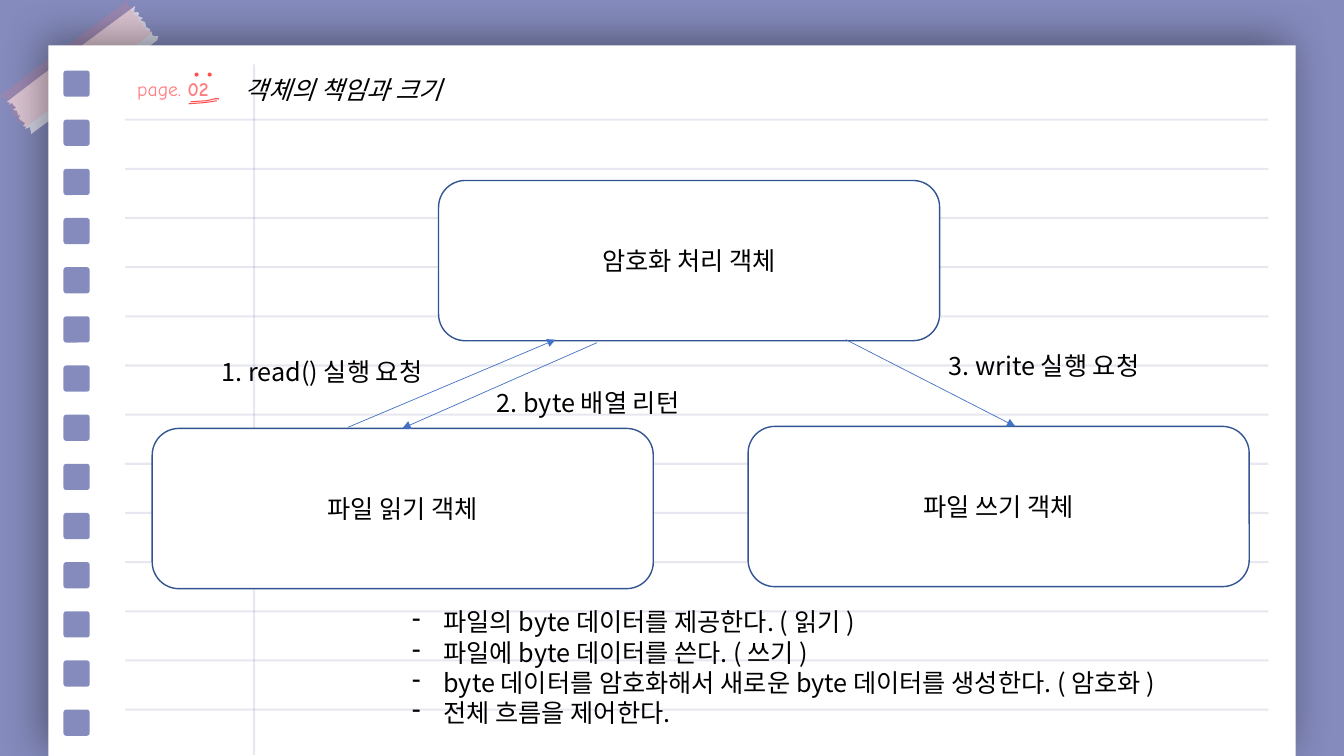
import dataclasses

import lxml.etree
import pptx
import pptx.dml.color
import pptx.enum.shapes
import pptx.enum.text
import pptx.oxml.ns
import pptx.util

Inches = pptx.util.Inches
Pt = pptx.util.Pt
KIND = pptx.enum.shapes.MSO_SHAPE
ALIGN = pptx.enum.text.PP_ALIGN
ANCHOR = pptx.enum.text.MSO_ANCHOR


@dataclasses.dataclass(frozen=True)
class Theme:
    lilac: str = "858BBD"
    white: str = "FFFFFF"
    pink: str = "FF7C80"
    red: str = "FF5050"
    navy: str = "325491"
    blue: str = "4472C4"
    ink: str = "000000"
    body: str = "Noto Sans CJK KR"
    hand: str = "Comic Neue"
    size: int = 18
    small: int = 14


THEME = Theme()
FIRST, LAST, COUNT = 0.7, 7.04, 14
PITCH = (LAST - FIRST) / (COUNT - 1)

TAPE = [
    (0.37, 0.78), (1.34, 0.06), (1.33, 0.12), (1.36, 0.12), (1.38, 0.13),
    (1.37, 0.16), (1.42, 0.18), (1.39, 0.2), (1.44, 0.22), (1.45, 0.27),
    (1.49, 0.29), (1.49, 0.33), (1.5, 0.31), (1.51, 0.33), (1.51, 0.35),
    (1.54, 0.36), (1.57, 0.36), (1.56, 0.4), (0.31, 1.33), (0.3, 1.28),
    (0.3, 1.26), (0.25, 1.28), (0.26, 1.26), (0.23, 1.25), (0.25, 1.22),
    (0.23, 1.21), (0.19, 1.18), (0.2, 1.13), (0.18, 1.15), (0.17, 1.1),
    (0.13, 1.09), (0.16, 1.07), (0.13, 1.04), (0.12, 1.02), (0.09, 1.04),
    (0.1, 1.02), (0.07, 1.01),
]
STROKES = [
    [(1.87, 1.03), (2.01, 1.02), (2.09, 1.01), (2.15, 1)],
    [(1.89, 1.01), (2.05, 1), (2.13, 0.98), (2.17, 0.98)],
]
BOXES = [
    (4.35, 1.79, "암호화 처리 객체"),
    (7.42, 4.23, "파일 쓰기 객체"),
    (1.51, 4.25, "파일 읽기 객체"),
]
ARROWS = [
    (3.45, 4.24, 5.51, 3.37),
    (5.92, 3.4, 3.99, 4.25),
    (8.39, 3.37, 10.07, 4.23),
]
LABELS = [
    (2.1, 3.49, "1. read() 실행 요청"),
    (4.83, 3.79, "2. byte 배열 리턴"),
    (9.31, 3.43, "3. write 실행 요청"),
]
DUTIES = [
    "파일의 byte 데이터를 제공한다. ( 읽기 )",
    "파일에 byte 데이터를 쓴다. ( 쓰기 )",
    "byte 데이터를 암호화해서 새로운 byte 데이터를 생성한다. ( 암호화 )",
    "전체 흐름을 제어한다.",
]


def paint(fill, color, alpha=100):
    fill.solid()
    fill.fore_color.rgb = pptx.dml.color.RGBColor.from_string(color)
    if alpha < 100:
        tone = fill.fore_color._xFill[0]
        add_tag(tone, "a:alpha", val=alpha * 1000)


def add_tag(node, name, **attrs):
    tag = lxml.etree.SubElement(node, pptx.oxml.ns.qn(name))
    for key, value in attrs.items():
        tag.set(key, str(value))
    return tag


def style(run, font=THEME.body, size=THEME.size, color=THEME.ink):
    run.font.name = font
    run.font.size = Pt(size)
    paint(run.font.fill, color)
    add_tag(run.font._element, "a:ea", typeface=font)


def add_shape(slide, kind, rect, color, edge=None):
    shape = slide.shapes.add_shape(kind, *map(Inches, rect))
    finish(shape, color, edge)
    return shape


def finish(shape, color=None, edge=None, width=1, alpha=100):
    shape.shadow.inherit = False
    if color:
        paint(shape.fill, color, alpha)
    else:
        shape.fill.background()
    if edge:
        paint(shape.line.fill, edge)
        shape.line.width = Pt(width)
    else:
        shape.line.fill.background()


def add_path(slide, points, close):
    spots = [(Inches(x), Inches(y)) for x, y in points]
    draft = slide.shapes.build_freeform(*spots[0])
    draft.add_line_segments(spots[1:], close=close)
    return draft.convert_to_shape()


def add_line(slide, ends, color, width, alpha=100, arrow=False):
    kind = pptx.enum.shapes.MSO_CONNECTOR.STRAIGHT
    line = slide.shapes.add_connector(kind, *map(Inches, ends))
    paint(line.line.fill, color, alpha)
    line.line.width = Pt(width)
    if arrow:
        add_tag(line.line._get_or_add_ln(), "a:tailEnd", type="triangle")
    add_tag(line._element.spPr, "a:effectLst")


def add_text(slide, rect, lines):
    box = slide.shapes.add_textbox(*map(Inches, rect))
    frame = box.text_frame
    frame.word_wrap = True
    frame.text = "\n".join(lines)
    for para in frame.paragraphs:
        style(para.runs[0])
    return frame


def add_tape(slide):
    for shift, color, alpha in ((0, THEME.white, 65), (0.07, THEME.pink, 19)):
        points = [(x - shift, y - shift * 0.8) for x, y in TAPE]
        finish(add_path(slide, points, True), color, alpha=alpha)


def add_paper(slide):
    sheet = add_shape(slide, KIND.RECTANGLE, (0.48, 0.45, 12.37, 7.05), THEME.white)
    glow = sheet._element.spPr.find(pptx.oxml.ns.qn("a:effectLst"))
    shade = add_tag(glow, "a:outerShdw", blurRad=Pt(31), dist=Pt(5),
                    dir=225 * 60000, algn="br", rotWithShape=0)
    tone = add_tag(shade, "a:srgbClr", val=THEME.ink)
    add_tag(tone, "a:alpha", val=40000)
    for row in range(COUNT):
        top = FIRST + row * PITCH
        hole = add_shape(slide, KIND.ROUNDED_RECTANGLE, (0.63, top, 0.26, 0.26), THEME.lilac)
        hole.adjustments[0] = 0.105
        if row:
            add_line(slide, (1.24, top, 12.58, top), THEME.lilac, 1.5, 20)
    add_line(slide, (2.52, 0.64, 2.52, 7.49), THEME.lilac, 1.5, 20)


def add_box(slide, left, top, text):
    box = add_shape(slide, KIND.ROUNDED_RECTANGLE, (left, top, 4.97, 1.59),
                    THEME.white, THEME.navy)
    frame = box.text_frame
    frame.text = text
    frame.vertical_anchor = ANCHOR.MIDDLE
    frame.paragraphs[0].alignment = ALIGN.CENTER
    style(frame.paragraphs[0].runs[0])


def add_list(slide):
    frame = add_text(slide, (3.99, 5.97, 8.4, 1.31), DUTIES)
    for para in frame.paragraphs:
        props = para._p.get_or_add_pPr()
        props.set("marL", str(Inches(0.31)))
        props.set("indent", str(-Inches(0.31)))
        add_tag(props, "a:buChar", char="-")


def add_head(slide):
    box = slide.shapes.add_textbox(*map(Inches, (1.14, 0.71, 1.15, 0.34)))
    box.text_frame.word_wrap = True
    para = box.text_frame.paragraphs[0]
    para.alignment = ALIGN.CENTER
    for text, bold in (("page. ", False), ("02", True)):
        run = para.add_run()
        run.text = text
        run.font.bold = bold
        style(run, THEME.hand, THEME.small, THEME.pink)
    title = add_text(slide, (2.33, 0.69, 5.91, 0.4), ["객체의 책임과 크기"])
    title.paragraphs[0].runs[0].font.italic = True
    for points in STROKES:
        finish(add_path(slide, points, False), edge=THEME.red, width=0.75)
    for left in (1.93, 2.06):
        add_shape(slide, KIND.OVAL, (left, 0.72, 0.04, 0.04), THEME.red)


def main():
    deck = pptx.Presentation()
    deck.slide_width, deck.slide_height = Inches(13.33), Inches(7.5)
    slide = deck.slides.add_slide(deck.slide_layouts[6])
    paint(slide.background.fill, THEME.lilac)
    add_tape(slide)
    add_paper(slide)
    for box in BOXES:
        add_box(slide, *box)
    for ends in ARROWS:
        add_line(slide, ends, THEME.blue, 0.5, arrow=True)
    for left, top, text in LABELS:
        add_text(slide, (left, top, 2.68, 0.4), [text])
    add_list(slide)
    add_head(slide)
    deck.save("out.pptx")


if __name__ == "__main__":
    main()
